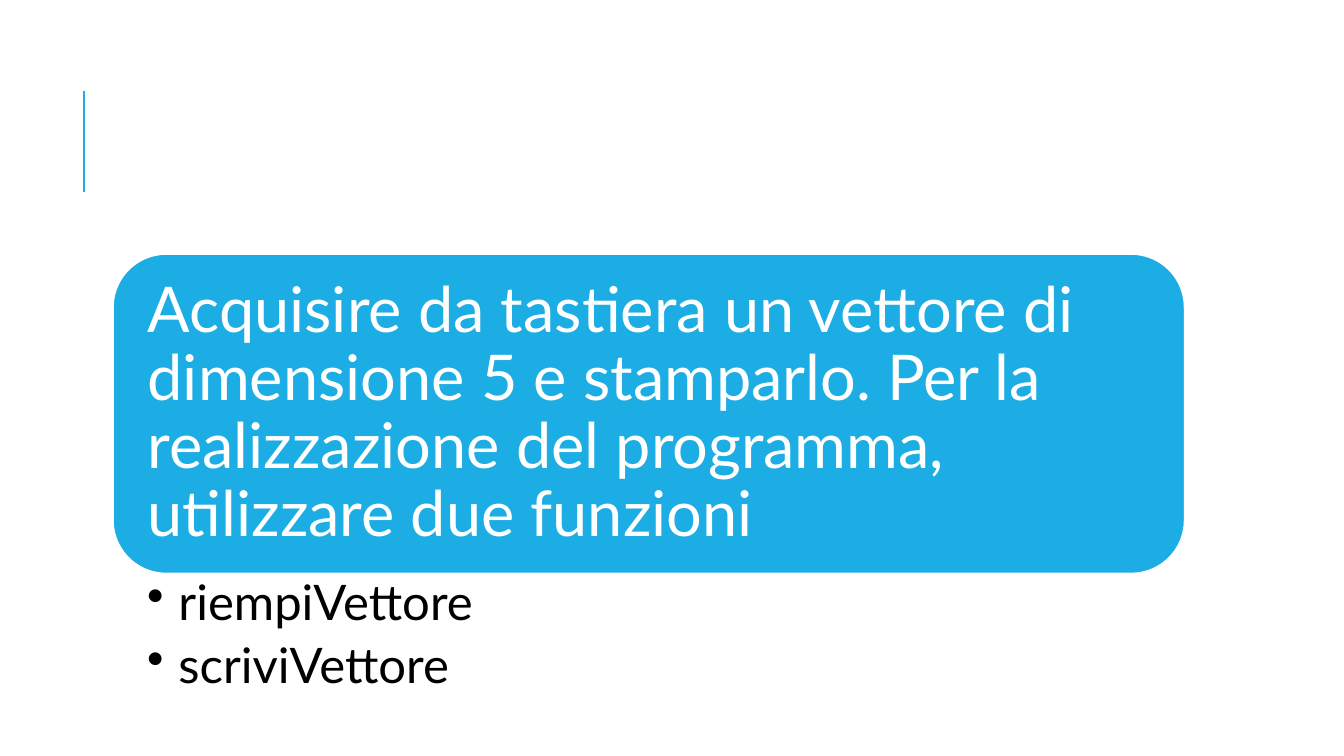
import pptx
import pptx.util
import pptx.dml.color
import pptx.enum.shapes
import pptx.enum.text
import pptx.oxml.ns
import lxml.etree

Inches, Pt = pptx.util.Inches, pptx.util.Pt
COLORS = {"accent": "1CADE4", "white": "FFFFFF", "black": "000000"}


def rgb(name):
    return pptx.dml.color.RGBColor.from_string(COLORS[name])


def add_text(sp, lines, size, color, anchor, insets, after, bullet=None):
    tf = sp.text_frame
    tf.word_wrap = True
    tf.vertical_anchor = anchor
    tf.margin_left, tf.margin_top, tf.margin_right, tf.margin_bottom = map(Inches, insets)
    for i, line in enumerate(lines):
        p = tf.paragraphs[0] if i == 0 else tf.add_paragraph()
        p.alignment = pptx.enum.text.PP_ALIGN.LEFT
        p.line_spacing = 0.9
        p.space_after = Pt(size * after)
        if bullet:
            pPr = p._p.get_or_add_pPr()
            pPr.set("marL", str(Inches(0.31)))
            pPr.set("indent", str(Inches(-0.31)))
            bu = lxml.etree.SubElement(pPr, pptx.oxml.ns.qn("a:buChar"))
            bu.set("char", bullet)
        r = p.add_run()
        r.text = line
        r.font.name = "Lato"
        r.font.size = Pt(size)
        r.font.color.rgb = rgb(color)


prs = pptx.Presentation()
prs.slide_width, prs.slide_height = Inches(13.33), Inches(7.5)
s = prs.slides.add_slide(prs.slide_layouts[6])

rule = s.shapes.add_connector(
    pptx.enum.shapes.MSO_CONNECTOR.STRAIGHT,
    Inches(0.83), Inches(1.9), Inches(0.83), Inches(0.9))
rule.line.color.rgb = rgb("accent")
rule.line.width = Pt(1.5)
lxml.etree.SubElement(rule._element.spPr, pptx.oxml.ns.qn("a:effectLst"))

task = s.shapes.add_shape(
    pptx.enum.shapes.MSO_SHAPE.ROUNDED_RECTANGLE,
    Inches(1.12), Inches(2.52), Inches(10.63), Inches(3.17))
task.shadow.inherit = False
task.fill.solid()
task.fill.fore_color.rgb = rgb("accent")
task.line.color.rgb = rgb("white")
task.line.width = Pt(1.25)
add_text(task, ["Acquisire da tastiera un vettore di dimensione 5 e stamparlo. "
                "Per la realizzazione del programma, utilizzare due funzioni"],
         size=45, color="white", anchor=pptx.enum.text.MSO_ANCHOR.MIDDLE,
         insets=(0.19, 0, 0.19, 0), after=0.35)

functions = s.shapes.add_textbox(Inches(1.12), Inches(5.68), Inches(10.63), Inches(1.2))
add_text(functions, ["riempiVettore", "scriviVettore"],
         size=35, color="black", anchor=pptx.enum.text.MSO_ANCHOR.TOP,
         insets=(0.34, 0.06, 0.35, 0.06), after=0.2, bullet="\u2022")

prs.save("out.pptx")
